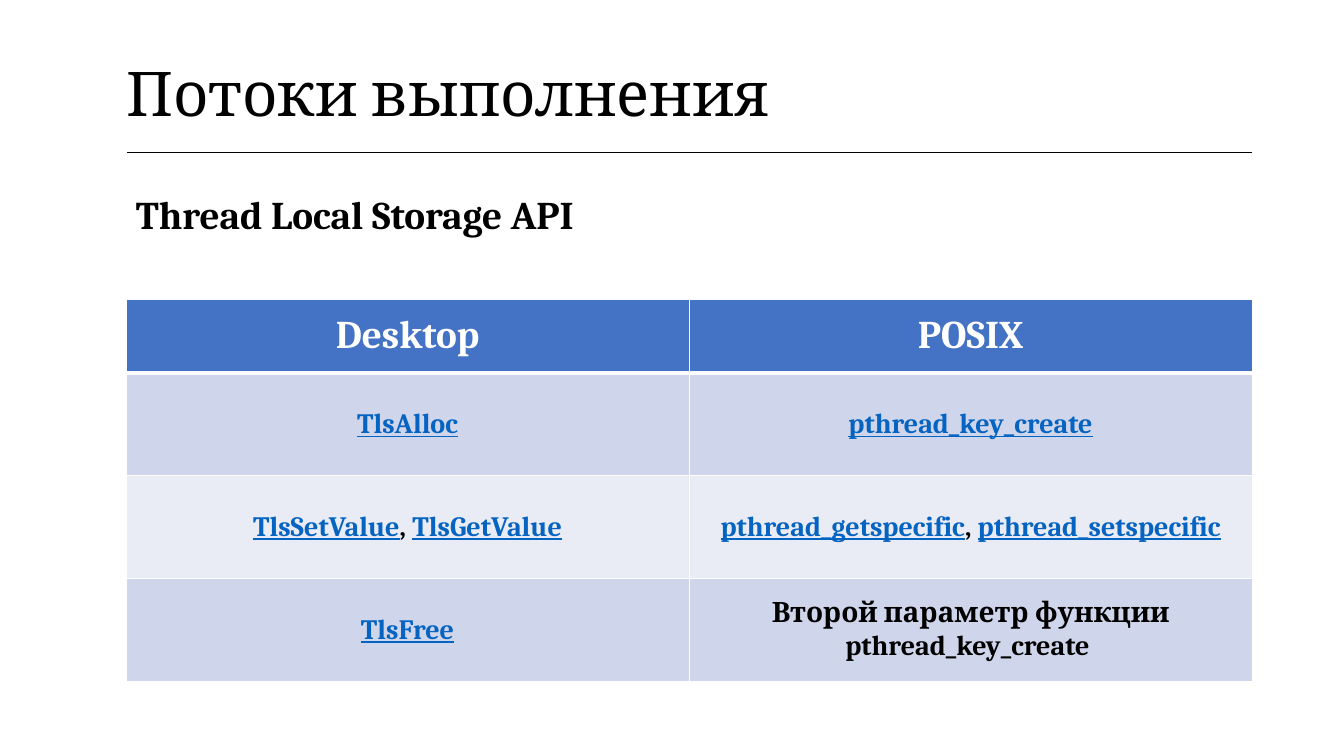
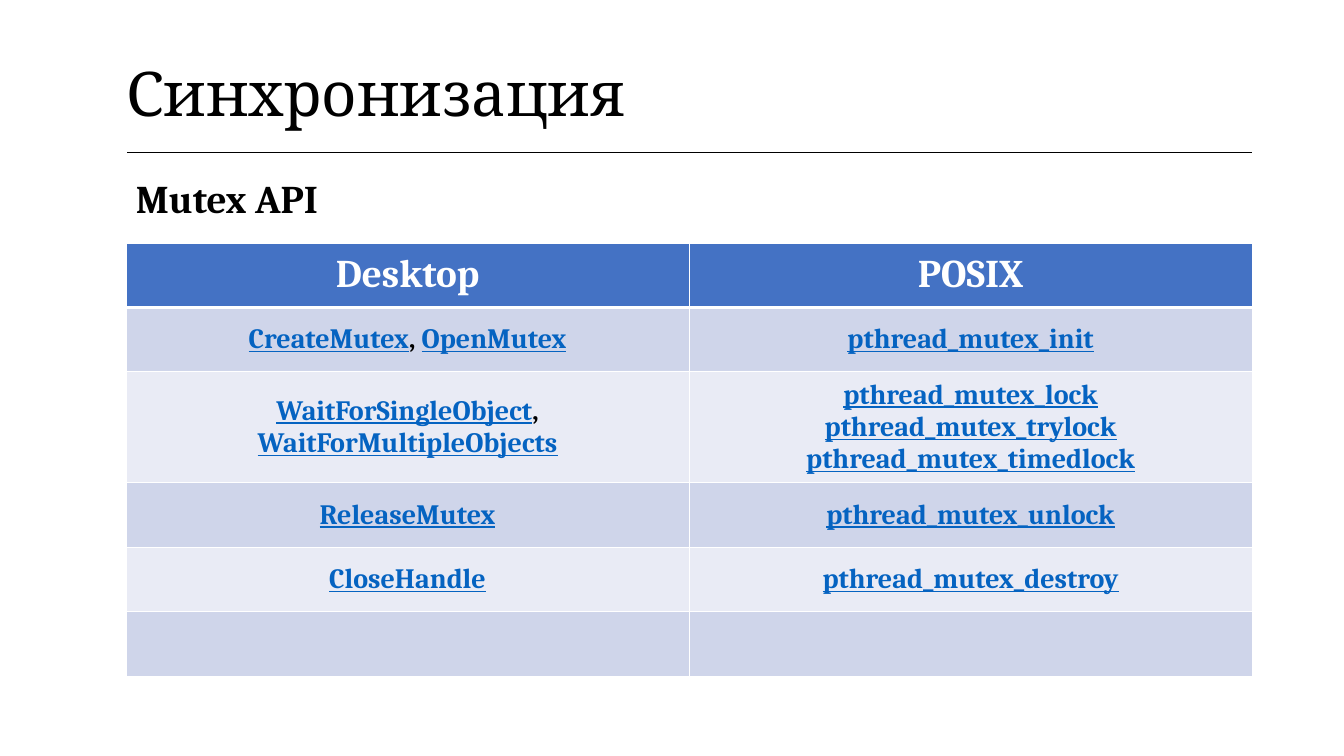
from lxml.etree import SubElement
from pptx import Presentation
from pptx.dml.color import RGBColor
from pptx.enum.text import MSO_ANCHOR, PP_ALIGN
from pptx.oxml.ns import qn
from pptx.util import Inches, Pt

BLACK = RGBColor(0x00, 0x00, 0x00)
WHITE = RGBColor(0xFF, 0xFF, 0xFF)
HEADER_BLUE = RGBColor(0x44, 0x72, 0xC4)
LINK_BLUE = RGBColor(0x05, 0x63, 0xC1)
BANDS = (RGBColor(0xCF, 0xD5, 0xEA), RGBColor(0xE9, 0xEB, 0xF5))
FONT = "Cambria"
LEFT = 1.25
WIDTH = 11.17
HEADINGS = ("Desktop", "POSIX")


class ApiDeck:
    def __init__(self):
        self.deck = Presentation()
        self.deck.slide_width = Inches(13.33)
        self.deck.slide_height = Inches(7.5)
        self.page = None

    def add_page(self, title):
        self.page = self.deck.slides.add_slide(self.deck.slide_layouts[6])
        table = self.add_grid(0.4, [1.11], 1)
        cell = table.cell(0, 0)
        cell.margin_left = cell.margin_right = 0
        cell.margin_top = cell.margin_bottom = 0
        self.add_border(cell, "lnB", BLACK, 1)
        cell.fill.background()
        self.add_span(cell.text_frame.paragraphs[0], title, 44, bold=False)

    def add_grid(self, top, heights, columns):
        frame = self.page.shapes.add_table(
            len(heights), columns, Inches(LEFT), Inches(top),
            Inches(WIDTH), Inches(sum(heights)))
        table = frame.table
        for row, height in zip(table.rows, heights):
            row.height = Inches(height)
        for cell in table.iter_cells():
            cell.vertical_anchor = MSO_ANCHOR.MIDDLE
        return table

    def add_border(self, cell, side, color, width):
        properties = cell._tc.get_or_add_tcPr()
        line = SubElement(properties, qn("a:" + side), w=str(Pt(width)))
        fill = SubElement(line, qn("a:solidFill"))
        SubElement(fill, qn("a:srgbClr"), val=str(color))

    def add_span(self, para, text, size, color=BLACK, bold=True, underline=False):
        span = para.add_run()
        span.text = text
        span.font.name = FONT
        span.font.size = Pt(size)
        span.font.bold = bold
        span.font.underline = underline
        span.font.color.rgb = color

    def add_subtitle(self, top, text):
        box = self.page.shapes.add_textbox(
            Inches(LEFT), Inches(top), Inches(6.67), Inches(0.57))
        box.text_frame.word_wrap = True
        self.add_span(box.text_frame.paragraphs[0], text, 28)

    def add_names(self, para, text):
        for index, name in enumerate(text.split(", ")):
            if index:
                self.add_span(para, ", ", 20)
            linked = " " not in name
            self.add_span(para, name, 20, LINK_BLUE if linked else BLACK,
                          underline=linked)

    def add_api_table(self, top, heights, rows):
        table = self.add_grid(top, heights, len(HEADINGS))
        for row_index, row in enumerate((HEADINGS, *rows)):
            is_header = row_index == 0
            for column, text in enumerate(row):
                cell = table.cell(row_index, column)
                for side in ("lnL", "lnR", "lnT", "lnB"):
                    thick = is_header and side == "lnB"
                    under_header = row_index == 1 and side == "lnT"
                    self.add_border(cell, side, WHITE,
                                    3 if thick or under_header else 1)
                cell.fill.solid()
                cell.fill.fore_color.rgb = (
                    HEADER_BLUE if is_header else BANDS[(row_index - 1) % 2])
                self.fill_cell(cell, text, is_header)

    def fill_cell(self, cell, text, is_header):
        if not text:
            return
        for index, line in enumerate(text.split("\n")):
            frame = cell.text_frame
            para = frame.add_paragraph() if index else frame.paragraphs[0]
            para.alignment = PP_ALIGN.CENTER
            if is_header:
                self.add_span(para, line, 28, WHITE)
            else:
                self.add_names(para, line)


def main():
    slides = ApiDeck()

    slides.add_page("Потоки выполнения")
    slides.add_api_table(2.97, [0.73] + [1.02] * 3, [
        ("TlsAlloc", "pthread_key_create"),
        ("TlsSetValue, TlsGetValue", "pthread_getspecific, pthread_setspecific"),
        ("TlsFree", "Второй параметр функции pthread_key_create "),
    ])
    slides.add_subtitle(1.84, "Thread Local Storage API")

    slides.add_page("Синхронизация")
    slides.add_api_table(2.41, [0.64] * 6, [
        ("CreateMutex, OpenMutex", "pthread_mutex_init"),
        ("WaitForSingleObject, WaitForMultipleObjects",
         "pthread_mutex_lock\npthread_mutex_trylock\npthread_mutex_timedlock"),
        ("ReleaseMutex", "pthread_mutex_unlock"),
        ("CloseHandle", "pthread_mutex_destroy"),
        ("", ""),
    ])
    slides.add_subtitle(1.68, "Mutex API")

    slides.deck.save("out.pptx")


if __name__ == "__main__":
    main()
